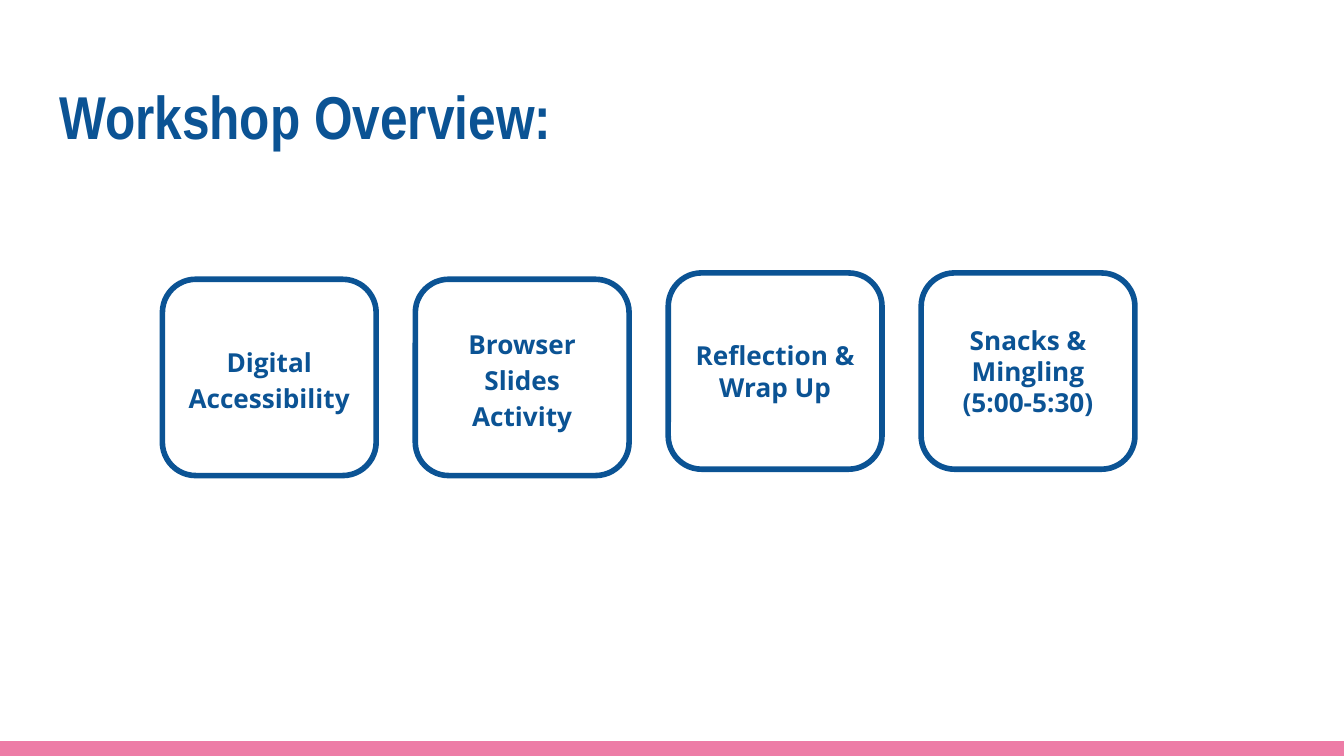
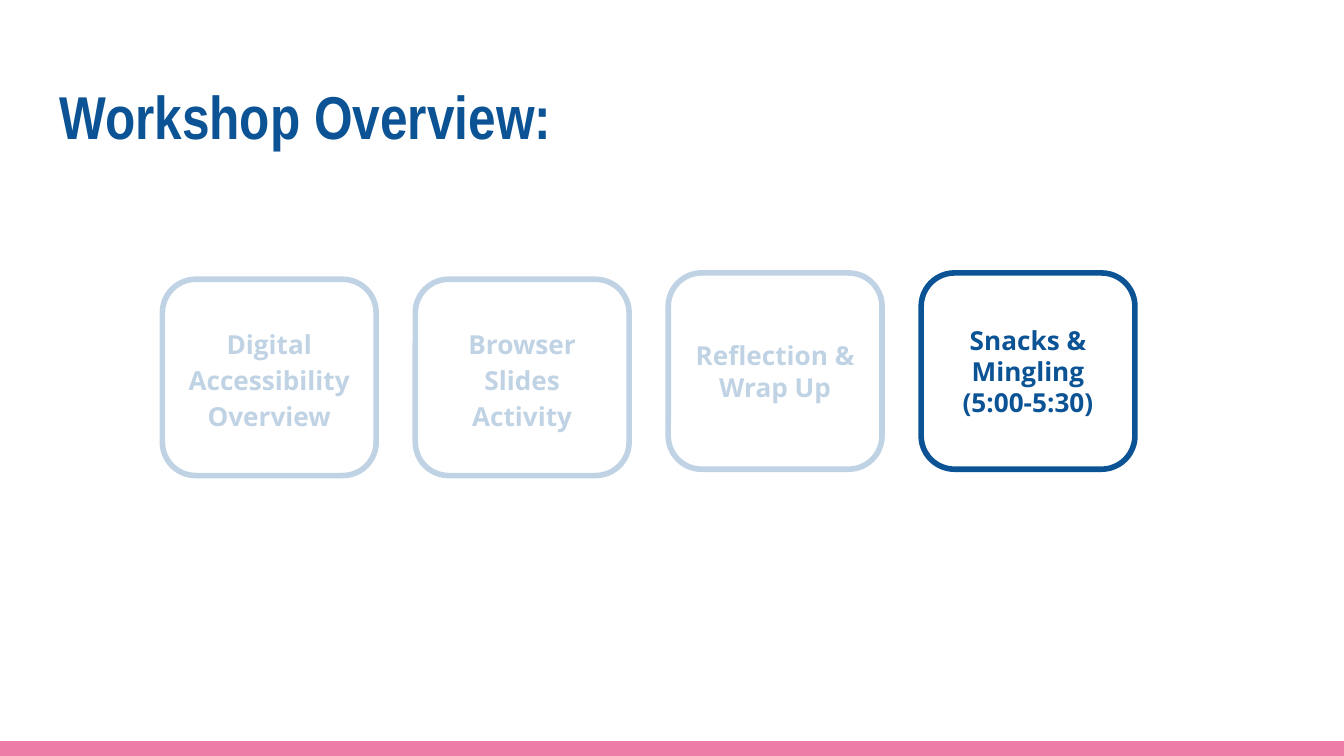
"""Build two workshop overview slides, the second highlighting the closing step."""
from dataclasses import dataclass

from pptx import Presentation
from pptx import util as u
from pptx.dml.color import RGBColor
from pptx.enum import shapes, text

BLUE, FADED_BLUE, PINK = "0B5394", "C0D3E4", "ED7CA6"
TITLE_FONT, BODY_FONT = "Arial Narrow", "Open Sans"
SLIDE_WIDTH, SLIDE_HEIGHT = u.Cm(25.4), u.Cm(14.29)
BAND_HEIGHT = u.Cm(0.28)
INSET = u.Cm(0.25)
STEP_LEFT, STEP_PITCH = u.Cm(3.07), u.Cm(4.78)
STEP_WIDTH, STEP_HEIGHT = u.Cm(4.04), u.Cm(3.71)
LOWER_TOP, UPPER_TOP = u.Cm(5.28), u.Cm(5.16)


@dataclass(frozen=True)
class Step:
    """A workshop step shown as a rounded box."""
    label: str
    top: u.Length
    line_spacing: float = 1.0
    color: str = BLUE


def rgb(color: str) -> RGBColor:
    """Return the colour for a hex string."""
    return RGBColor.from_string(color)


def format_text(frame, font_name: str, size: float, color: str) -> None:
    """Set the insets, wrapping and bold font of a text frame."""
    frame.word_wrap = True
    frame.margin_left = frame.margin_right = INSET
    frame.margin_top = frame.margin_bottom = INSET
    for paragraph in frame.paragraphs:
        for run in paragraph.runs:
            run.font.name = font_name
            run.font.size = u.Pt(size)
            run.font.bold = True
            run.font.color.rgb = rgb(color)


def draw_frame(slide, title: str) -> None:
    """Draw the bottom band and the title."""
    band = slide.shapes.add_shape(
        shapes.MSO_SHAPE.RECTANGLE, 0, SLIDE_HEIGHT - BAND_HEIGHT, SLIDE_WIDTH, BAND_HEIGHT)
    band.shadow.inherit = False
    band.fill.solid()
    band.fill.fore_color.rgb = rgb(PINK)
    band.line.fill.background()
    title_box = slide.shapes.add_textbox(u.Cm(0.87), u.Cm(1.24), u.Cm(23.67), u.Cm(1.96))
    title_box.text_frame.text = title
    format_text(title_box.text_frame, TITLE_FONT, 32.4, BLUE)


def draw_step(slide, step: Step, column: int) -> None:
    """Draw one step box in its column."""
    shape = slide.shapes.add_shape(
        shapes.MSO_SHAPE.ROUNDED_RECTANGLE,
        STEP_LEFT + column * STEP_PITCH, step.top, STEP_WIDTH, STEP_HEIGHT)
    shape.adjustments[0] = 0.17
    shape.shadow.inherit = False
    shape.fill.background()
    shape.line.color.rgb = rgb(step.color)
    shape.line.width = u.Pt(3)
    frame = shape.text_frame
    frame.text = step.label
    frame.vertical_anchor = text.MSO_ANCHOR.MIDDLE
    for paragraph in frame.paragraphs:
        paragraph.alignment = text.PP_ALIGN.CENTER
        paragraph.line_spacing = step.line_spacing
    format_text(frame, BODY_FONT, 14, step.color)


def overview_steps(first_label: str, early_color: str) -> list[Step]:
    """Return the four steps, with the first three in the given colour."""
    return [
        Step(first_label, LOWER_TOP, 1.15, early_color),
        Step("Browser Slides Activity", LOWER_TOP, 1.15, early_color),
        Step("Reflection & Wrap Up", UPPER_TOP, color=early_color),
        Step("Snacks & Mingling\n(5:00-5:30)", UPPER_TOP),
    ]


def main() -> None:
    """Build and save the presentation."""
    presentation = Presentation()
    presentation.slide_width, presentation.slide_height = SLIDE_WIDTH, SLIDE_HEIGHT
    for steps in (
        overview_steps("Digital Accessibility", BLUE),
        overview_steps("Digital Accessibility\nOverview", FADED_BLUE),
    ):
        slide = presentation.slides.add_slide(presentation.slide_layouts[6])
        draw_frame(slide, "Workshop Overview:")
        for column, step in enumerate(steps):
            draw_step(slide, step, column)
    presentation.save("out.pptx")


if __name__ == "__main__":
    main()
